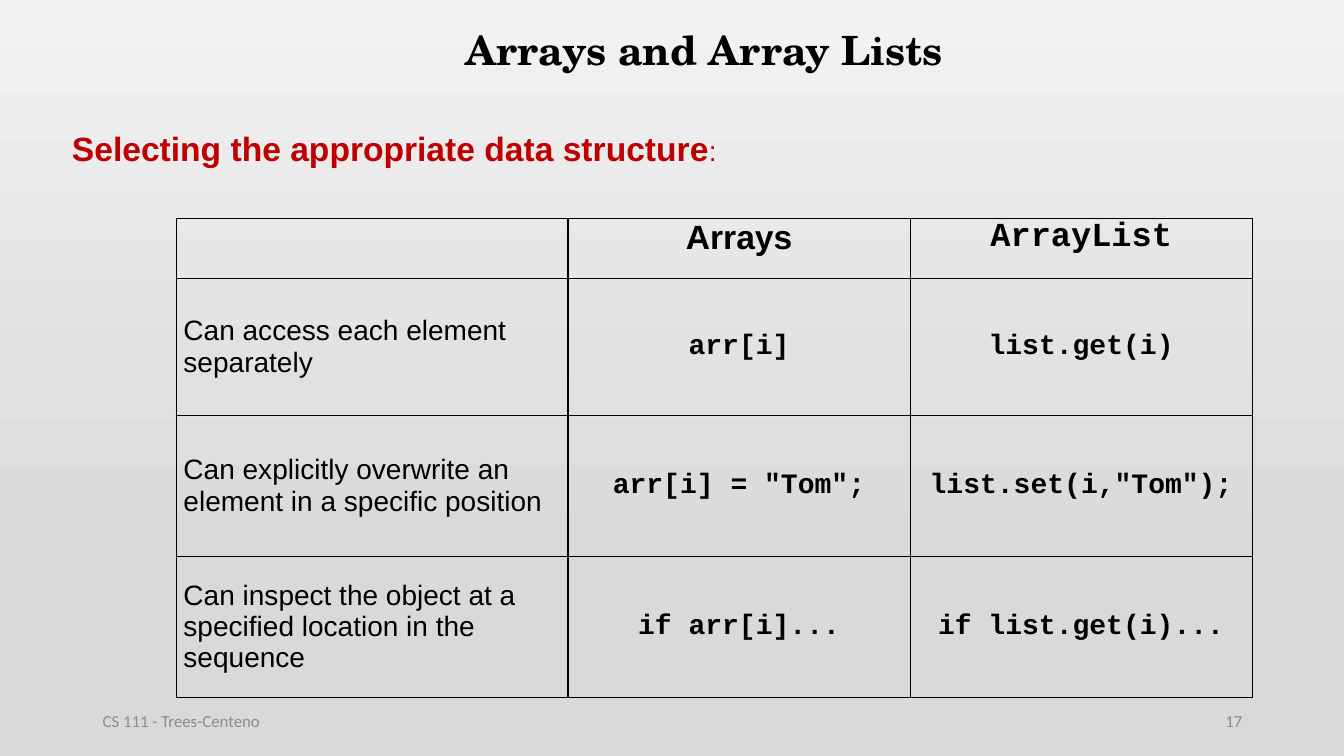
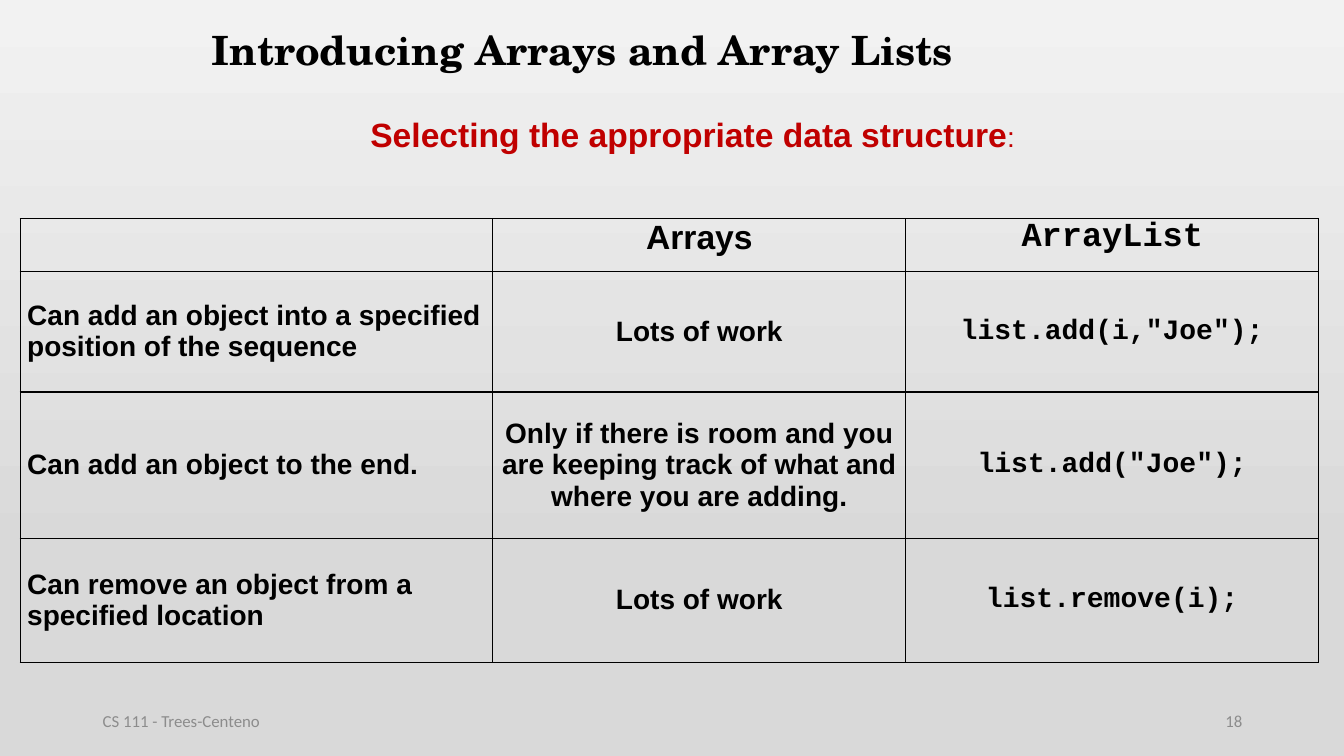
from lxml import etree
from pptx import Presentation, util as u
from pptx.dml.color import RGBColor
from pptx.enum import text
from pptx.oxml import ns

BLACK = RGBColor(0x00, 0x00, 0x00)
RED = RGBColor(0xC0, 0x00, 0x00)
GREY = RGBColor(0x8C, 0x8C, 0x8C)
PALE = RGBColor(0xF2, 0xF2, 0xF2)
SILVER = RGBColor(0xD9, 0xD9, 0xD9)
SERIF, SANS, CODE, SMALL = "TeX Gyre Schola", "Arial", "Courier New", "Calibri"
LEFT, CENTER, RIGHT = text.PP_ALIGN.LEFT, text.PP_ALIGN.CENTER, text.PP_ALIGN.RIGHT
MIDDLE, TOP = text.MSO_ANCHOR.MIDDLE, text.MSO_ANCHOR.TOP

TITLE_LINE = 0.3
TABLE_TOP = 2.17
COLUMN_SHARES = [0.364, 0.318, 0.318]
HEADER = ["", "Arrays", "ArrayList"]

PAGES = [
    dict(title="Arrays and Array Lists", title_box=(0.79, 0.24, 12.39, 1.45),
         title_align=CENTER, subtitle_at=(-0.38, 1.22), number="17",
         table_left=1.75, table_width=10.67, row_heights=[0.59, 1.36, 1.4, 1.4],
         fonts=[SANS, CODE, CODE], bold_labels=False,
         rows=[["Can access each element separately", "arr[i]", "list.get(i)"],
               ["Can explicitly overwrite an element in a specific position",
                'arr[i] = "Tom";', 'list.set(i,"Tom");'],
               ["Can inspect the object at a specified location in the sequence",
                "if arr[i]...", "if list.get(i)..."]]),
    dict(title="Introducing Arrays and Array Lists", title_box=(2, 0.33, 9.33, 1.25),
         title_align=LEFT, subtitle_at=(2.58, 1.08), number="18",
         table_left=0.2, table_width=12.88, row_heights=[0.52, 1.2, 1.45, 1.23],
         fonts=[SANS, SANS, CODE], bold_labels=True,
         rows=[["Can add an object into a specified position of the sequence",
                "Lots of work", 'list.add(i,"Joe");'],
               ["Can add an object to the end.",
                "Only if there is room and you are keeping track of what and "
                "where you are adding.", 'list.add("Joe");'],
               ["Can remove an object from a specified location",
                "Lots of work", "list.remove(i);"]]),
]


def style(para, font, size, color, bold=False, align=LEFT):
    para.alignment = align
    for span in para.runs:
        span.font.name, span.font.size = font, u.Pt(size)
        span.font.bold, span.font.color.rgb = bold, color


def add_borders(cell):
    properties = cell._tc.get_or_add_tcPr()
    for place, side in enumerate(["lnL", "lnR", "lnT", "lnB"]):
        line = etree.Element(ns.qn("a:" + side), w=str(u.Pt(1)))
        fill = etree.SubElement(line, ns.qn("a:solidFill"))
        etree.SubElement(fill, ns.qn("a:srgbClr"), val=str(BLACK))
        properties.insert(place, line)


deck = Presentation()
deck.slide_width, deck.slide_height = u.Inches(13.33), u.Inches(7.5)

# Shared background: pale at the top, flat silver near the bottom
background = deck.slide_master.background.fill
background.gradient()
background.gradient_angle = 270
for stop, color, position in zip(background.gradient_stops, [PALE, SILVER], [0, 0.74]):
    stop.color.rgb, stop.position = color, position

for page in PAGES:
    slide = deck.slides.add_slide(deck.slide_layouts[5])

    # Title
    title = slide.shapes.title
    title.left, title.top, title.width, title.height = map(u.Inches, page["title_box"])
    frame = title.text_frame
    frame.text = page["title"]
    frame.auto_size, frame.vertical_anchor = text.MSO_AUTO_SIZE.NONE, TOP
    frame.margin_top = u.Inches(TITLE_LINE - page["title_box"][1])
    frame.paragraphs[0].line_spacing = 0.9
    style(frame.paragraphs[0], SERIF, 28.8, BLACK, True, page["title_align"])

    # Subtitle with a lighter colon
    box = slide.shapes.add_textbox(*map(u.Inches, (*page["subtitle_at"], 8.58, 0.51)))
    box.text_frame.word_wrap = True
    para = box.text_frame.paragraphs[0]
    para.text = "Selecting the appropriate data structure"
    colon = para.add_run()
    colon.text = ":"
    style(para, SANS, 24, RED, True, CENTER)
    colon.font.size, colon.font.bold = u.Pt(20), False

    # Comparison table
    rows = [HEADER] + page["rows"]
    table = slide.shapes.add_table(
        len(rows), len(HEADER), u.Inches(page["table_left"]), u.Inches(TABLE_TOP),
        u.Inches(page["table_width"]), u.Inches(sum(page["row_heights"]))).table
    table.first_row = table.horz_banding = False
    for column, share in zip(table.columns, COLUMN_SHARES):
        column.width = u.Inches(page["table_width"] * share)
    for r, (words, height) in enumerate(zip(rows, page["row_heights"])):
        table.rows[r].height = u.Inches(height)
        for c, word in enumerate(words):
            cell = table.cell(r, c)
            cell.text = word
            cell.fill.background()
            add_borders(cell)
            cell.margin_left = cell.margin_right = u.Inches(0.07)
            cell.margin_top = cell.margin_bottom = 0
            cell.vertical_anchor = MIDDLE if r else TOP
            font = page["fonts"][c] if r else [SANS, SANS, CODE][c]
            style(cell.text_frame.paragraphs[0], font, 20 if r else 24, BLACK,
                  c > 0 or page["bold_labels"], CENTER if c else LEFT)

    # Footer and page number
    for left, words, align in [(0.92, "CS 111 - Trees-Centeno", LEFT),
                               (9.42, page["number"], RIGHT)]:
        box = slide.shapes.add_textbox(*map(u.Inches, (left, 6.95, 3, 0.4)))
        box.text_frame.word_wrap = True
        box.text_frame.vertical_anchor = MIDDLE
        box.text_frame.text = words
        style(box.text_frame.paragraphs[0], SMALL, 12, GREY, align=align)

deck.save("out.pptx")
